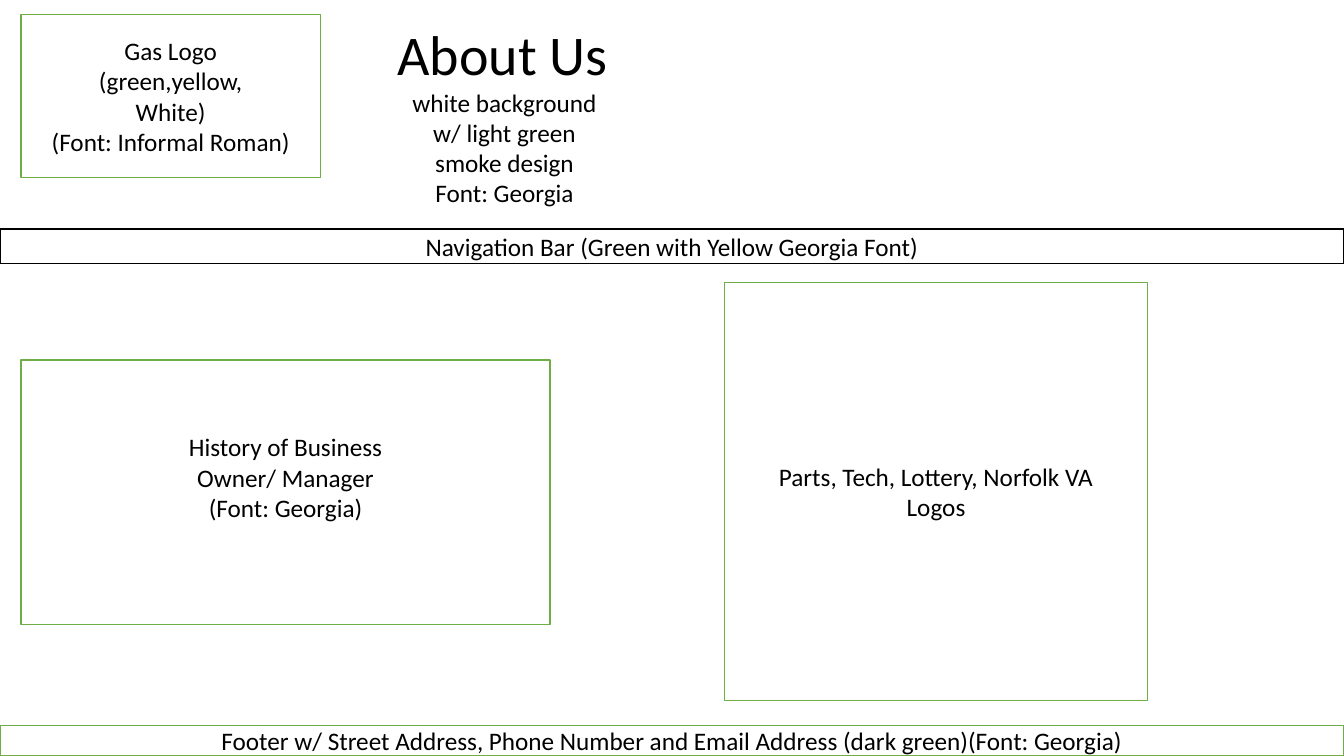
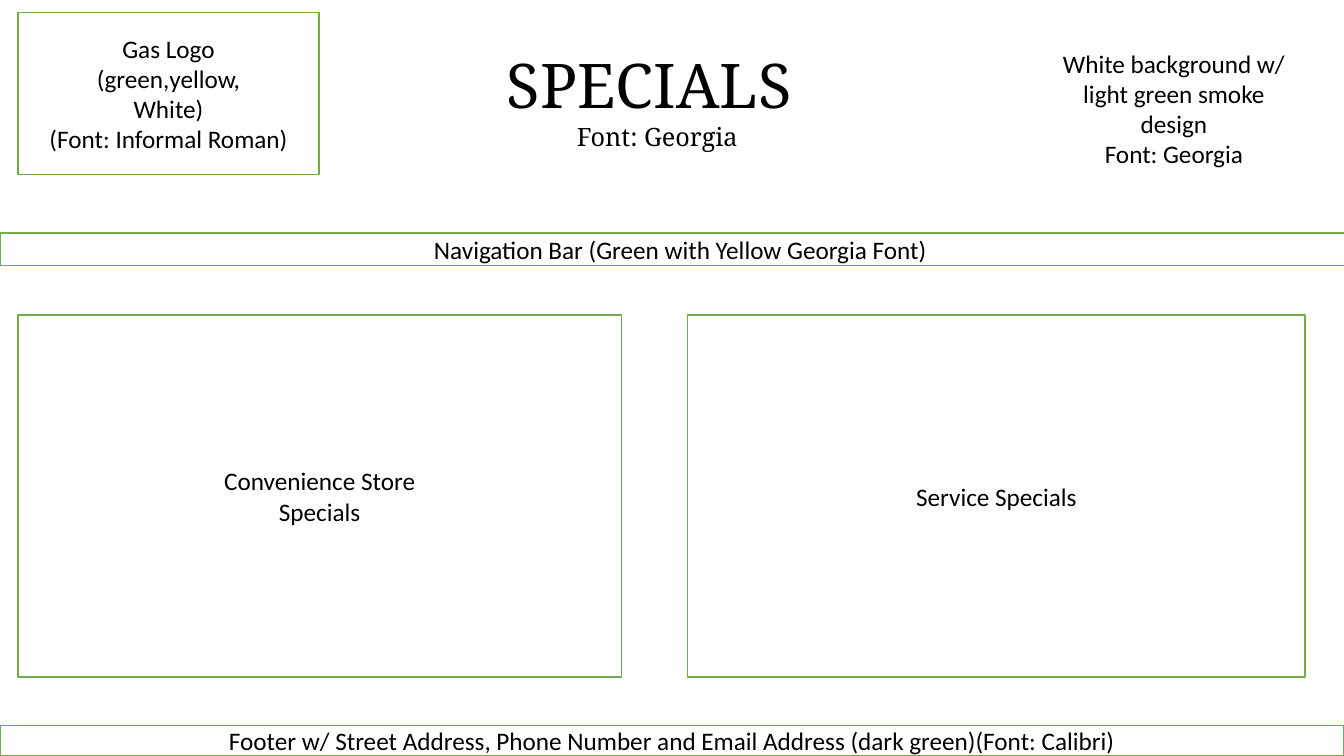
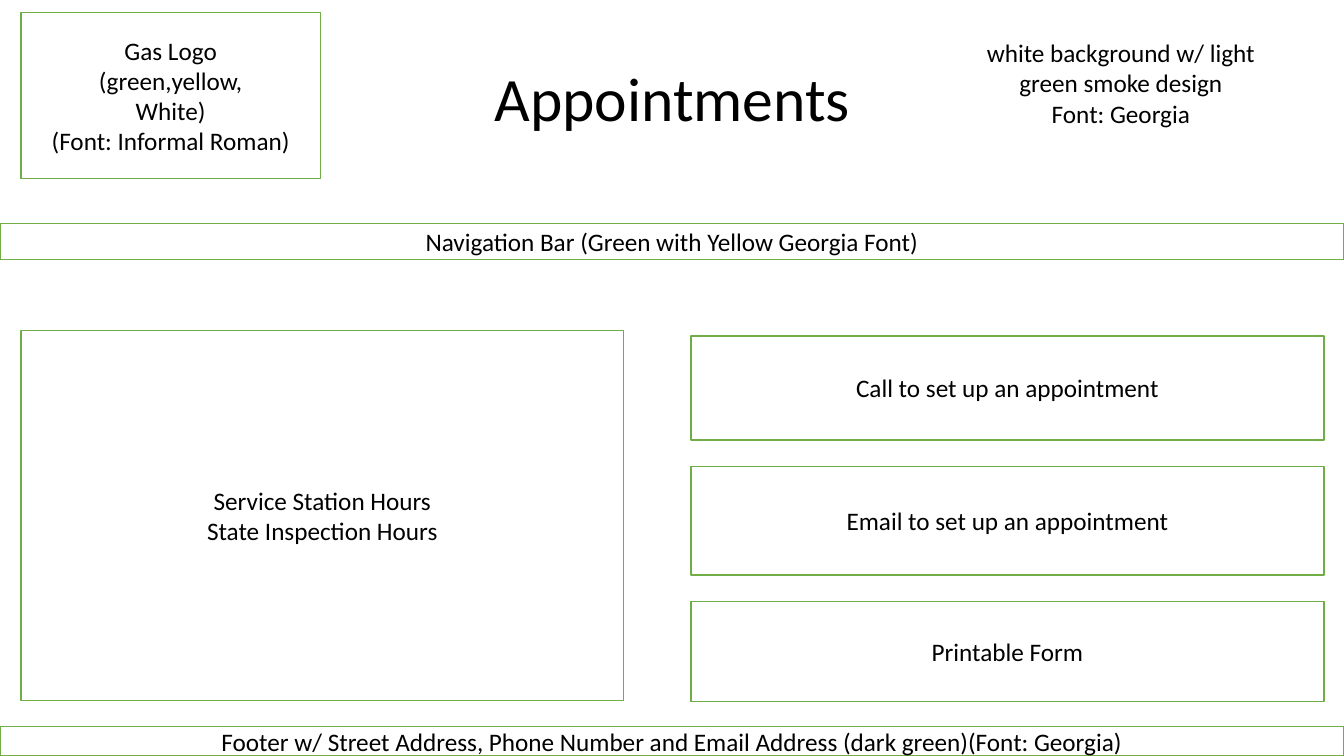
from dataclasses import dataclass
from itertools import accumulate
from typing import Any

from pptx import Presentation
from pptx.dml.color import RGBColor
from pptx.enum.shapes import MSO_SHAPE as Preset
from pptx.enum.text import MSO_ANCHOR as Anchor, MSO_AUTO_SIZE as AutoSize, PP_ALIGN as Align
from pptx.util import Inches, Pt

WIDTH, HEIGHT = 13.33, 7.5
COLUMNS, ROWS = 128, 72
WHITE, BLACK, GREEN = "FFFFFF", "000000", "70AD47"
SANS, SERIF = "Calibri", "Noto Serif"
BODY_SIZE = 18
INSET = 0.5

LOGO_LINES = ("Gas Logo", "(green,yellow,", "White)", "(Font: Informal Roman)")
NAVIGATION = "Navigation Bar (Green with Yellow Georgia Font)"
FOOTER = "Footer w/ Street Address, Phone Number and Email Address (dark green)(Font: {})"
SMOKE = "white background w/ light green smoke design"
GEORGIA = "Font: Georgia"


@dataclass(frozen=True)
class Area:
    left: float
    top: float
    width: float
    height: float


@dataclass(frozen=True)
class Panel:
    area: Area
    lines: tuple[str, ...]
    outline: str = GREEN
    bottom_inset: float = INSET


@dataclass(frozen=True)
class Note:
    area: Area
    lines: tuple[str, ...]


@dataclass(frozen=True)
class Heading:
    area: Area
    lines: tuple[str, ...]
    size: int = 44
    font: str = SANS
    align: Align = Align.CENTER


@dataclass(frozen=True)
class Page:
    heading: Heading
    panels: tuple[Panel, ...]
    notes: tuple[Note, ...] = ()


def color(code: str) -> RGBColor:
    return RGBColor.from_string(code)


def across(columns: float) -> int:
    return Inches(WIDTH * columns / COLUMNS)


def down(rows: float) -> int:
    return Inches(HEIGHT * rows / ROWS)


def bounds(area: Area) -> tuple[int, int, int, int]:
    return across(area.left), down(area.top), across(area.width), down(area.height)


def apply(target: Any, values: dict[str, Any]) -> None:
    for attribute, value in values.items():
        setattr(target, attribute, value)


def write(frame: Any, lines: tuple[str, ...], anchor: Anchor, font: str = SANS,
          first_size: int = BODY_SIZE, first_align: Align = Align.CENTER) -> None:
    apply(frame, {"word_wrap": True, "auto_size": AutoSize.NONE, "vertical_anchor": anchor})
    for index, line in enumerate(lines):
        paragraph = frame.add_paragraph() if index else frame.paragraphs[0]
        apply(paragraph, {"alignment": Align.CENTER if index else first_align,
                          "line_spacing": 1.0, "space_before": Pt(0)})
        run = paragraph.add_run()
        run.text = line
        apply(run.font, {"name": font, "size": Pt(BODY_SIZE if index else first_size)})
        run.font.color.rgb = color(BLACK)


def draw_panel(slide: Any, panel: Panel) -> None:
    box = slide.shapes.add_shape(Preset.RECTANGLE, *bounds(panel.area))
    box.shadow.inherit = False
    box.fill.solid()
    box.fill.fore_color.rgb = color(WHITE)
    box.line.color.rgb = color(panel.outline)
    box.line.width = Pt(1)
    box.text_frame.margin_bottom = down(panel.bottom_inset)
    write(box.text_frame, panel.lines, Anchor.MIDDLE)


def draw_note(slide: Any, note: Note) -> None:
    box = slide.shapes.add_textbox(*bounds(note.area))
    write(box.text_frame, note.lines, Anchor.TOP)


def draw_heading(slide: Any, heading: Heading) -> None:
    title = slide.shapes.title
    apply(title, dict(zip(("left", "top", "width", "height"), bounds(heading.area))))
    write(title.text_frame, heading.lines, Anchor.TOP, heading.font, heading.size, heading.align)


def frame_panels(logo: Area, nav_top: float, nav_height: float, nav_width: float = COLUMNS,
                 nav_outline: str = GREEN, footer_height: float = 2.9,
                 footer_font: str = "Georgia") -> tuple[Panel, ...]:
    return (
        Panel(logo, LOGO_LINES),
        Panel(Area(0, nav_top, nav_width, nav_height), (NAVIGATION,), nav_outline),
        Panel(Area(0, ROWS - footer_height, COLUMNS, footer_height), (FOOTER.format(footer_font),)),
    )


def stack(left: float, top: float, width: float, gap: float,
          rows: tuple[tuple[str, float], ...]) -> tuple[Panel, ...]:
    tops = accumulate((height + gap for _, height in rows), initial=top)
    return tuple(Panel(Area(left, row_top, width, height), (label,))
                 for row_top, (label, height) in zip(tops, rows))


about = Page(
    Heading(Area(36.9, 1.4, 22.3, 22), ("About Us", SMOKE, GEORGIA), size=40, align=Align.LEFT),
    frame_panels(Area(2, 1.4, 28.5, 15.5), 21.8, 3.3, nav_outline=BLACK) + (
        Panel(Area(2, 34.3, 50.4, 25.2),
              ("History of Business", "Owner/ Manager", "(Font: Georgia)"),
              bottom_inset=INSET + 2.9),
        Panel(Area(69, 26.9, 40.3, 39.8), ("Parts, Tech, Lottery, Norfolk VA", "Logos")),
    ),
)

specials = Page(
    Heading(Area(44.1, 4, 37, 18), ("SPECIALS ", GEORGIA), font=SERIF),
    frame_panels(Area(1.7, 1.2, 28.7, 15.4), 22.2, 3.1, nav_width=129.6, footer_font="Calibri") + (
        Panel(Area(1.7, 30, 57.5, 34.5), ("Convenience Store", "Specials")),
        Panel(Area(65.5, 30, 58.8, 34.5), ("Service Specials",)),
    ),
    (Note(Area(99.3, 4.1, 25, 12.6), ("White background w/ light green smoke design", GEORGIA)),),
)

appointments = Page(
    Heading(Area(39.3, 5.2, 49.5, 8.1), ("Appointments",)),
    frame_panels(Area(2, 1.2, 28.5, 15.8), 21.3, 3.4, footer_height=2.8) + (
        Panel(Area(2, 31.5, 57.4, 35.2), ("Service Station Hours", "State Inspection Hours")),
    ) + stack(65.8, 32, 60.3, 2.55, (
        ("Call to set up an appointment", 9.9),
        ("Email to set up an appointment", 10.3),
        ("Printable Form", 9.5),
    )),
    (Note(Area(91.6, 3.1, 30.3, 9.7), (SMOKE, GEORGIA)),),
)

deck = Presentation()
apply(deck, {"slide_width": Inches(WIDTH), "slide_height": Inches(HEIGHT)})
title_only = deck.slide_layouts.get_by_name("Title Only")

for page in (about, specials, appointments):
    slide = deck.slides.add_slide(title_only)
    draw_heading(slide, page.heading)
    for panel in page.panels:
        draw_panel(slide, panel)
    for note in page.notes:
        draw_note(slide, note)

deck.save("out.pptx")
